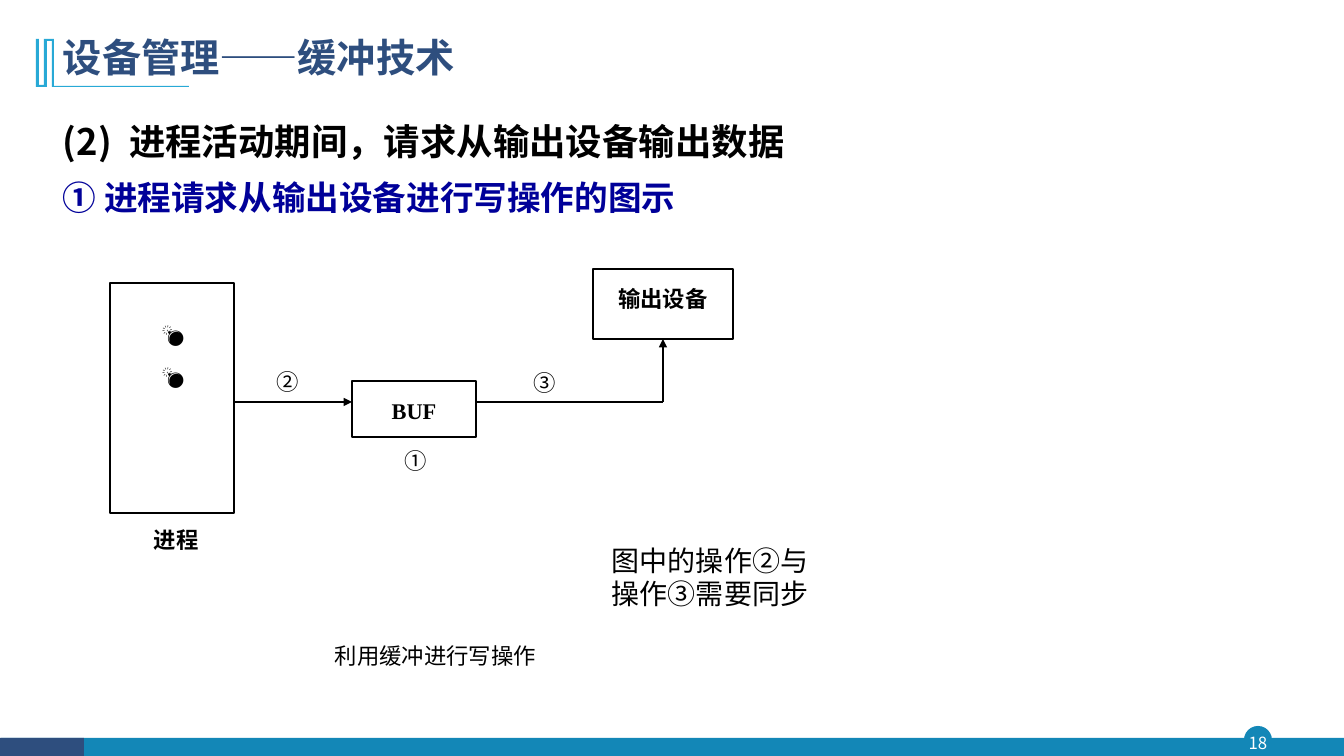
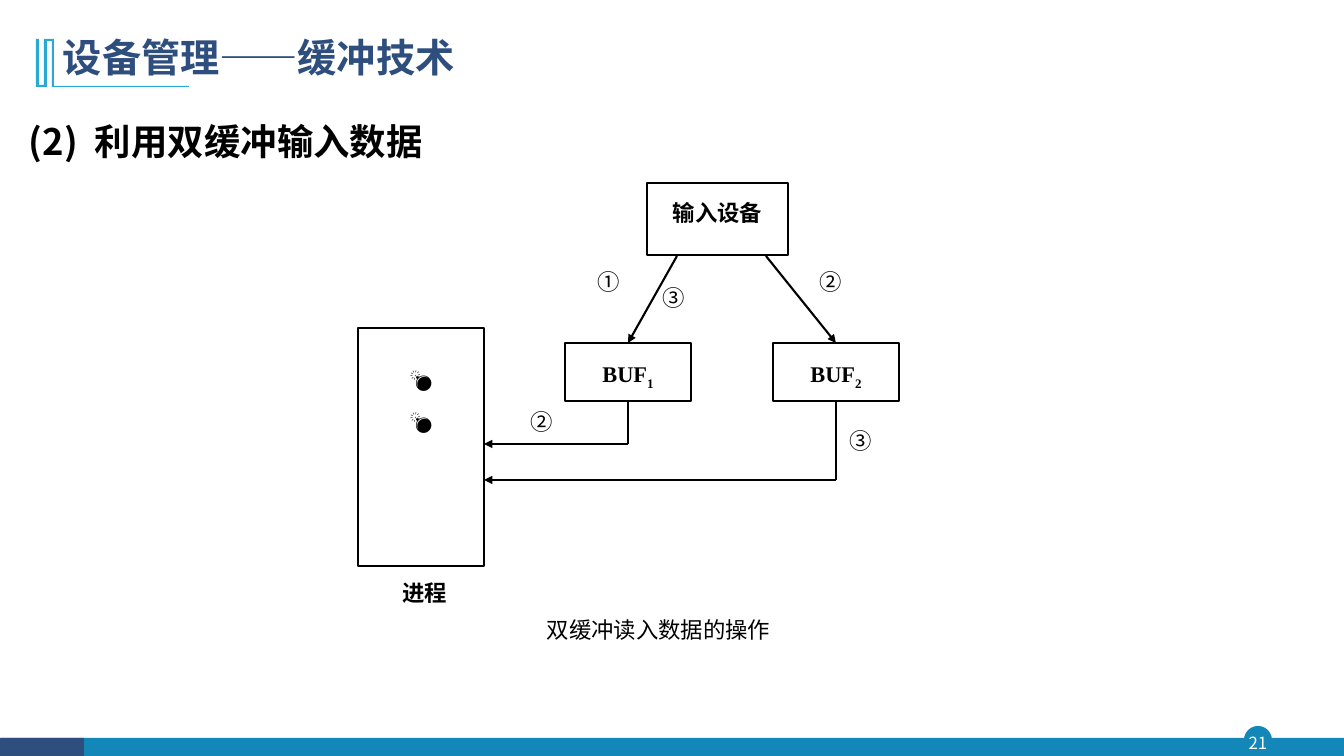
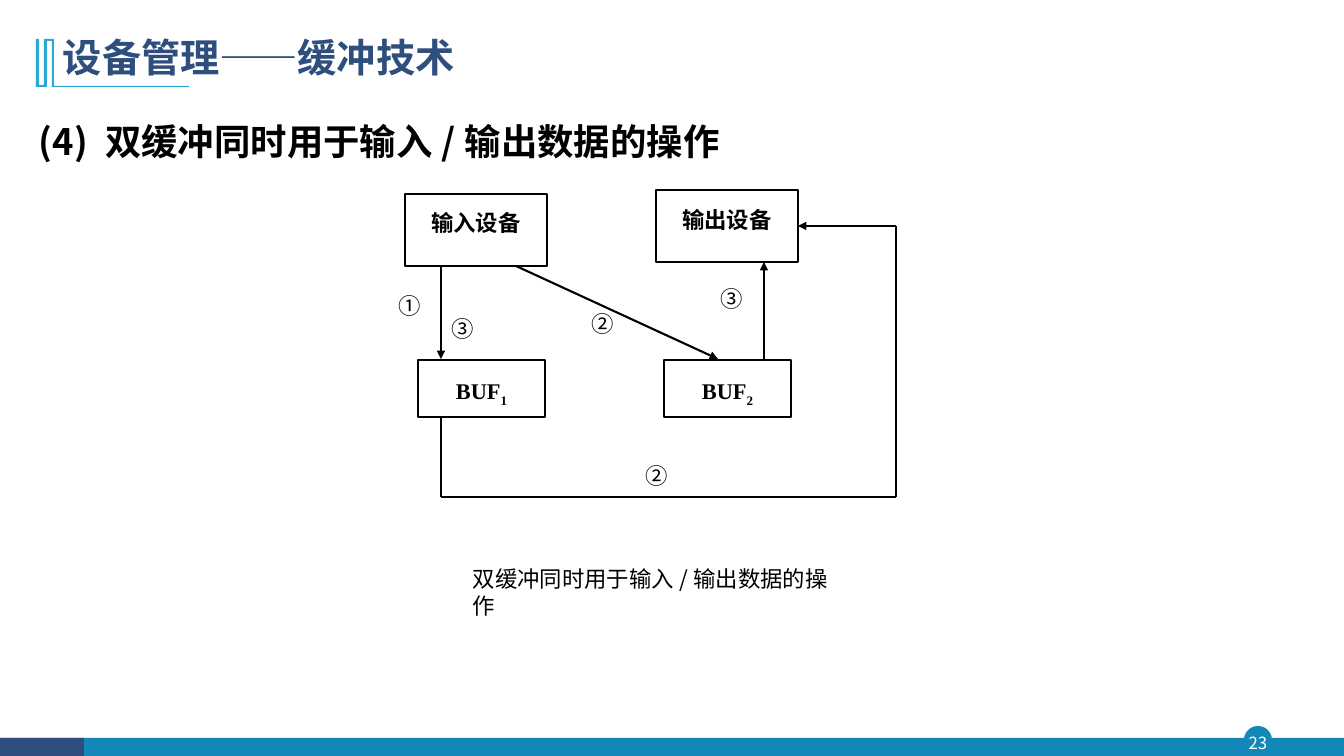
"""Builds three slides on buffering in device management."""
from lxml.etree import SubElement
from pptx import Presentation
from pptx.dml.color import RGBColor
from pptx.enum.shapes import MSO_CONNECTOR as CONN, MSO_SHAPE as SHAPE
from pptx.enum.text import MSO_ANCHOR as ANCHOR, MSO_AUTO_SIZE as FIT, PP_ALIGN as ALIGN
from pptx.oxml.ns import qn
from pptx.util import Pt

W, H = 1344, 756
SCALE = 12192000 / W
SANS, SERIF = "Noto Sans CJK SC", "Times New Roman"
COLORS = {
    "black": "000000",
    "white": "FFFFFF",
    "navy": "2E4E7E",
    "teal": "1387B7",
    "sky": "28A9D6",
    "blue": "000099",
}
TITLE = "设备管理——缓冲技术"
TITLE_MARK = [(54, 39), (54, 86), (189, 86), (189, 87), (52, 87), (52, 41),
              (47, 41), (47, 87), (36, 87), (36, 39), (39, 39), (39, 85),
              (44, 85), (44, 39)]


def px(*values):
    return [round(v * SCALE) for v in values]


def rgb(name):
    return RGBColor.from_string(COLORS[name])


def add_run(p, text, size=16, font=SANS, color="black", bold=False, base=0):
    r = p.add_run()
    r.text = text
    r.font.size, r.font.name, r.font.bold = Pt(size), font, bold
    r.font.color.rgb = rgb(color)
    rpr = r._r.get_or_add_rPr()
    SubElement(rpr, qn("a:ea")).set("typeface", SANS)
    if base:
        rpr.set("baseline", str(base * 1000))


def add_par(tf, align=ALIGN.LEFT, line=None, before=0, after=0):
    p = tf.paragraphs[0]
    if p.runs:
        p = tf.add_paragraph()
    p.alignment, p.line_spacing = align, line
    for tag, percent in (("a:spcBef", before), ("a:spcAft", after)):
        if percent:
            spacing = SubElement(p._p.get_or_add_pPr(), qn(tag))
            SubElement(spacing, qn("a:spcPct")).set("val", str(percent * 1000))
    return p


def add_text(s, x, y, w, h, grow=False):
    tf = s.shapes.add_textbox(*px(x, y, w, h)).text_frame
    tf.word_wrap = True
    tf.auto_size = FIT.SHAPE_TO_FIT_TEXT if grow else FIT.NONE
    return tf


def add_solid(s, kind, color, x, y, w, h):
    sp = s.shapes.add_shape(kind, *px(x, y, w, h))
    paint(sp, color)


def paint(sp, color):
    sp.shadow.inherit = False
    sp.fill.solid()
    sp.fill.fore_color.rgb = rgb(color)
    sp.line.fill.background()


def add_label(tf, text, font=SERIF, sub=""):
    p = add_par(tf, ALIGN.CENTER, 1.4, 100, 80)
    add_run(p, text, font=font, bold=True)
    if sub:
        add_run(p, sub, font=font, bold=True, base=-25)


def add_box(s, x, y, w, h, text="", sub=""):
    sp = s.shapes.add_shape(SHAPE.RECTANGLE, *px(x, y, w, h))
    sp.shadow.inherit = False
    sp.fill.background()
    sp.line.color.rgb = rgb("black")
    sp.line.width = Pt(1)
    sp.text_frame.vertical_anchor = ANCHOR.TOP
    if text:
        add_label(sp.text_frame, text, sub=sub)
    return sp


def add_process(s, x, y, w, h):
    add_box(s, x, y, w, h)
    add_label(add_text(s, x + 4, y + h - 3, w, 56), "进程")
    for i in range(2):
        add_label(add_text(s, x + 30, y + 21 + 42 * i, 66, 56), "💣", SANS)


def add_route(s, points, begin=None, end=None):
    last = len(points) - 2
    for i, (a, b) in enumerate(zip(points, points[1:])):
        c = s.shapes.add_connector(CONN.STRAIGHT, *px(*a, *b))
        c.line.color.rgb = rgb("black")
        c.line.width = Pt(1.5)
        if i == 0 and begin:
            c.begin_connect(*begin)
        if i == last:
            if end:
                c.end_connect(*end)
            SubElement(c.line._get_or_add_ln(), qn("a:tailEnd")).set("type", "triangle")
        SubElement(c._element.spPr, qn("a:effectLst"))


def add_marks(s, marks):
    for text, x, y in marks:
        p = add_par(add_text(s, x, y, 59, 37, grow=True), before=50)
        add_run(p, text)


def add_heading(s, x, w, text, before=30):
    tf = add_text(s, x, 92, w, 69, grow=True)
    add_run(add_par(tf, ALIGN.JUSTIFY, 1.5, before), text, 26, bold=True)
    return tf


def add_caption(s, x, y, w, text, rest=""):
    p = add_par(add_text(s, x, y, w, 37, grow=True), before=30)
    add_run(p, text, font=SERIF)
    if rest:
        add_run(p, rest)


def new_slide(prs, number):
    s = prs.slides.add_slide(prs.slide_layouts[6])
    add_solid(s, SHAPE.OVAL, "teal", 1244, 726, 28, 28)
    add_solid(s, SHAPE.RECTANGLE, "teal", 1, 738, W - 1, 18)
    add_solid(s, SHAPE.RECTANGLE, "navy", 0, 738, 84, 18)
    tf = add_text(s, 1242, 727, 32, 31)
    tf.margin_left = tf.margin_top = tf.margin_right = tf.margin_bottom = 0
    tf.vertical_anchor = ANCHOR.MIDDLE
    add_run(add_par(tf, ALIGN.CENTER), str(number), 12, color="white")
    fb = s.shapes.build_freeform(*TITLE_MARK[0], scale=SCALE)
    fb.add_line_segments(TITLE_MARK[1:], close=True)
    paint(fb.convert_to_shape(), "sky")
    tf = add_text(s, 53, 34, 1057, 56)
    add_run(add_par(tf, line=0.9), TITLE, 28, color="navy", bold=True)
    return s


def single_output(prs):
    s = new_slide(prs, 18)
    tf = add_heading(s, 53, 917, "(2) 进程活动期间，请求从输出设备输出数据", 20)
    add_run(add_par(tf, line=1.2, before=20), "① 进程请求从输出设备进行写操作的图示",
            24, SERIF, "blue", True)
    tf = add_text(s, 602, 542, 232, 73)
    for line in ("图中的操作②与", "操作③需要同步"):
        add_run(add_par(tf, line=0.9, before=10), line, 20, SERIF)
    add_marks(s, [("①", 395, 442), ("②", 267, 363), ("③", 524, 364)])
    device = add_box(s, 593, 269, 140, 70, "输出设备")
    add_box(s, 352, 381, 124, 56, "BUF")
    add_process(s, 110, 283, 124, 230)
    add_route(s, [(234, 402), (352, 402)])
    add_route(s, [(476, 402), (663, 402), (663, 339)], end=(device, 2))
    add_caption(s, 325, 637, 233, "利用缓冲进行写操作")


def double_input(prs):
    s = new_slide(prs, 21)
    add_heading(s, 19, 754, "(2) 利用双缓冲输入数据")
    add_box(s, 647, 183, 141, 72, "输入设备")
    buf1, buf2 = [add_box(s, x, 343, 126, 58, "BUF", n)
                  for x, n in ((565, "1"), (773, "2"))]
    add_process(s, 358, 328, 126, 238)
    add_marks(s, [("①", 588, 263), ("②", 810, 263), ("③", 840, 422),
                  ("②", 521, 403), ("③", 653, 279)])
    add_route(s, [(677, 256), (628, 343)], end=(buf1, 0))
    add_route(s, [(766, 256), (836, 343)], end=(buf2, 0))
    add_route(s, [(628, 401), (628, 444), (484, 444)], begin=(buf1, 2))
    add_route(s, [(836, 401), (836, 480), (484, 480)], begin=(buf2, 2))
    add_caption(s, 537, 611, 278, "双缓冲读入数据的操作")


def double_both(prs):
    s = new_slide(prs, 23)
    add_heading(s, 29, 930, "(4) 双缓冲同时用于输入/输出数据的操作")
    add_box(s, 405, 194, 142, 72, "输入设备")
    output = add_box(s, 656, 190, 142, 72, "输出设备")
    for x, n in ((418, "1"), (664, "2")):
        add_box(s, x, 360, 127, 57, "BUF", n)
    add_marks(s, [("①", 389, 287), ("②", 582, 305), ("③", 442, 310),
                  ("②", 636, 457), ("③", 711, 280)])
    add_route(s, [(441, 266), (441, 359)])
    add_route(s, [(516, 266), (718, 359)])
    add_route(s, [(441, 417), (441, 497), (896, 497), (896, 226), (798, 226)],
              end=(output, 3))
    add_route(s, [(764, 360), (764, 262)])
    add_caption(s, 463, 560, 394, "双缓冲同时用于输入", "/输出数据的操作")


def main():
    prs = Presentation()
    prs.slide_width, prs.slide_height = px(W, H)
    for build in (single_output, double_input, double_both):
        build(prs)
    prs.save("out.pptx")


if __name__ == "__main__":
    main()
